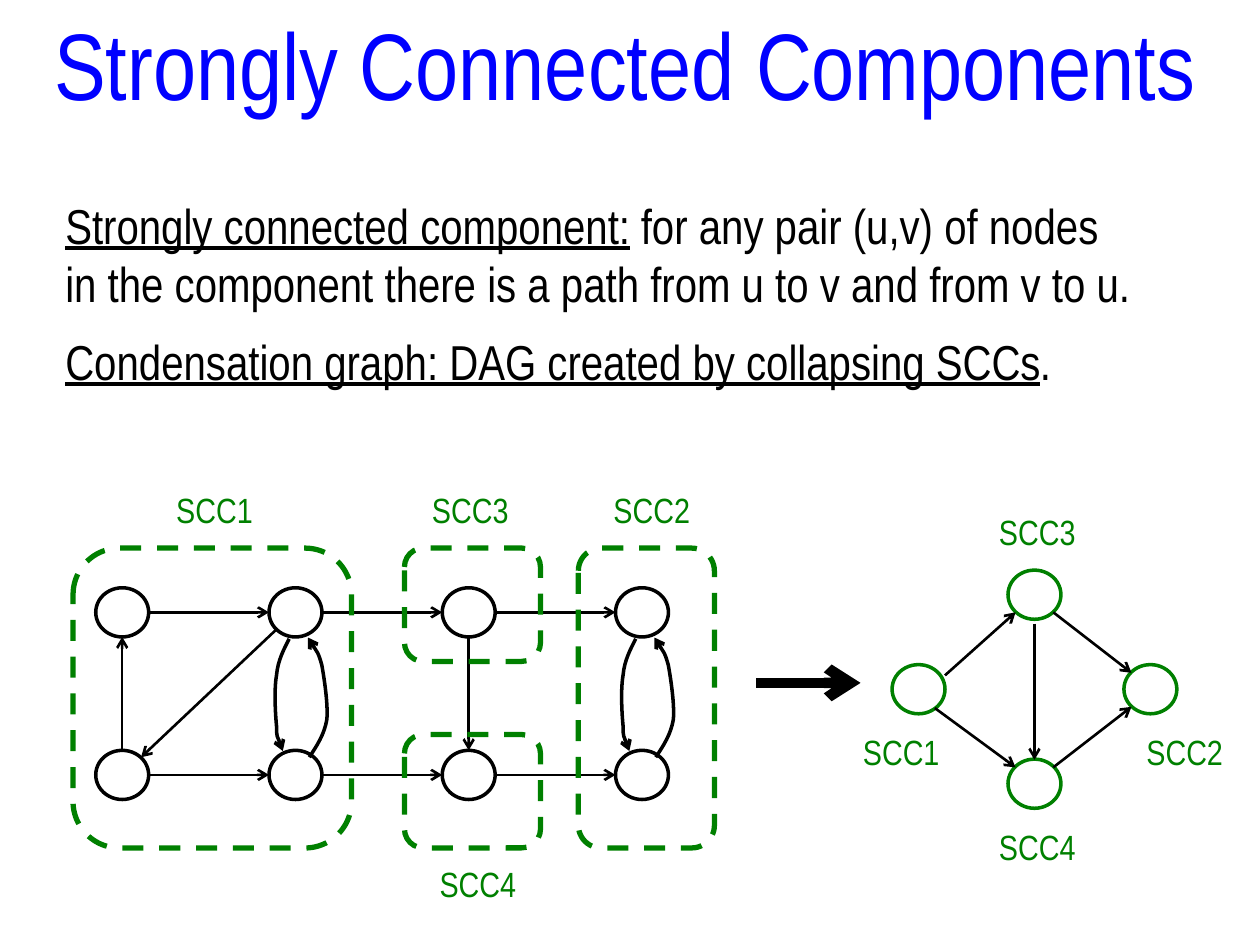
from dataclasses import dataclass

from lxml.etree import SubElement
from pptx import Presentation
from pptx.dml.color import RGBColor
from pptx.enum.dml import MSO_LINE
from pptx.enum.shapes import MSO_CONNECTOR, MSO_SHAPE
from pptx.enum.text import MSO_ANCHOR, MSO_AUTO_SIZE, PP_ALIGN
from pptx.oxml.ns import qn
from pptx.util import Inches, Pt


@dataclass(frozen=True)
class Theme:
    font: str = "Arial Narrow"
    title_color: RGBColor = RGBColor(0, 0, 255)
    ink: RGBColor = RGBColor(0, 0, 0)
    component: RGBColor = RGBColor(0, 128, 0)
    title_size: int = 54
    body_size: int = 28
    label_size: int = 20
    node_line: float = 2
    edge_line: float = 1.5
    frame_line: float = 3
    step_line: float = 6


THEME = Theme()
NODE_WIDTH, NODE_HEIGHT = 0.42, 0.39
COLUMNS = [0.97 + 1.375 * column for column in range(4)]
TOP_ROW, BOTTOM_ROW = 4.86, 6.15


def style_run(run, size, color, underline=None):
    run.font.name = THEME.font
    run.font.size = Pt(size)
    run.font.color.rgb = color
    run.font.underline = underline


def add_title(slide, text):
    title = slide.shapes.title
    title.left, title.top = Inches(0.25), Inches(0)
    title.width, title.height = Inches(9.42), Inches(1.01)
    frame = title.text_frame
    frame.text = text
    frame.auto_size = MSO_AUTO_SIZE.NONE
    frame.vertical_anchor = MSO_ANCHOR.TOP
    frame.paragraphs[0].alignment = PP_ALIGN.CENTER
    style_run(frame.paragraphs[0].runs[0], THEME.title_size, THEME.title_color)


def add_text(slide, left, top, width, height, lines, size, color):
    """Each line is a list of (text, underlined) spans."""
    box = slide.shapes.add_textbox(Inches(left), Inches(top), Inches(width), Inches(height))
    frame = box.text_frame
    frame.word_wrap = False
    for index, spans in enumerate(lines):
        para = frame.paragraphs[0] if index == 0 else frame.add_paragraph()
        for text, underlined in spans:
            span = para.add_run()
            span.text = text
            style_run(span, size, color, underlined or None)


def add_label(slide, text, left, top):
    add_text(slide, left, top, 0.82, 0.44, [[(text, False)]], THEME.label_size, THEME.component)


def add_outline(slide, kind, left, top, width, height, color, weight):
    shape = slide.shapes.add_shape(kind, Inches(left), Inches(top), Inches(width), Inches(height))
    shape.shadow.inherit = False
    shape.fill.background()
    shape.line.color.rgb = color
    shape.line.width = Pt(weight)
    return shape


def add_node(slide, x, y, color):
    add_outline(slide, MSO_SHAPE.OVAL, x - NODE_WIDTH / 2, y - NODE_HEIGHT / 2,
                NODE_WIDTH, NODE_HEIGHT, color, THEME.node_line)


def add_frame(slide, left, top, width, height):
    frame = add_outline(slide, MSO_SHAPE.ROUNDED_RECTANGLE, left, top, width, height,
                        THEME.component, THEME.frame_line)
    frame.line.dash_style = MSO_LINE.DASH


def set_arrow_line(shape, weight):
    shape.line.color.rgb = THEME.ink
    shape.line.width = Pt(weight)
    SubElement(shape.line._get_or_add_ln(), qn("a:tailEnd"), type="arrow")


def add_arrow(slide, start, end, weight=THEME.edge_line):
    arrow = slide.shapes.add_connector(
        MSO_CONNECTOR.STRAIGHT, *[Inches(value) for value in (*start, *end)])
    set_arrow_line(arrow, weight)
    SubElement(arrow._element.spPr, qn("a:effectLst"))


def add_curved_arrow(slide, points):
    """Draw a start point followed by triples of Bézier points."""
    spots = [(Inches(x), Inches(y)) for x, y in points]
    builder = slide.shapes.build_freeform(*spots[0])
    builder.add_line_segments(spots[1:], close=False)
    curve = builder.convert_to_shape()
    curve.shadow.inherit = False
    curve.fill.background()
    set_arrow_line(curve, THEME.node_line)
    path = next(curve._element.iter(qn("a:path")))
    segments = path.findall(qn("a:lnTo"))
    for first in range(0, len(segments), 3):
        bezier = SubElement(path, qn("a:cubicBezTo"))
        for segment in segments[first:first + 3]:
            bezier.append(segment[0])
            path.remove(segment)


def add_cycle(slide, x):
    """Add the pair of bowed edges between the two nodes of a column."""
    upward = [(0.11, 6.01), (0.17, 5.92), (0.23, 5.83), (0.25, 5.71),
              (0.26, 5.59), (0.23, 5.39), (0.21, 5.28),
              (0.18, 5.17), (0.1, 5.06), (0.1, 5.06)]
    downward = [(-0.05, 5.07), (-0.09, 5.15), (-0.14, 5.24), (-0.15, 5.36),
                (-0.17, 5.47), (-0.16, 5.66), (-0.15, 5.76),
                (-0.15, 5.86), (-0.1, 5.96), (-0.1, 5.96)]
    for points in (upward, downward):
        add_curved_arrow(slide, [(x + offset, y) for offset, y in points])


def add_graph(slide):
    half_width, half_height = NODE_WIDTH / 2, NODE_HEIGHT / 2
    for y in (TOP_ROW, BOTTOM_ROW):
        for x in COLUMNS:
            add_node(slide, x, y, THEME.ink)
        for x, following in zip(COLUMNS, COLUMNS[1:]):
            add_arrow(slide, (x + half_width, y), (following - half_width, y))
    upper, lower = TOP_ROW + half_height, BOTTOM_ROW - half_height
    add_arrow(slide, (COLUMNS[0], lower), (COLUMNS[0], upper))
    add_arrow(slide, (COLUMNS[2], upper), (COLUMNS[2], lower))
    add_arrow(slide, (2.2, 4.99), (1.12, 6.01))
    for x in (COLUMNS[1], COLUMNS[3]):
        add_cycle(slide, x)
    for frame in ((0.58, 4.35, 2.21, 2.38), (4.59, 4.35, 1.08, 2.38),
                  (3.21, 4.35, 1.08, 0.9), (3.21, 5.83, 1.08, 0.9)):
        add_frame(slide, *frame)
    for text, left, top in (("SCC1", 1.3, 3.83), ("SCC2", 4.77, 3.83),
                            ("SCC3", 3.33, 3.83), ("SCC4", 3.39, 6.8)):
        add_label(slide, text, left, top)


def add_condensation(slide):
    center_x, center_y = 8.21, 5.47
    for across, down in ((-0.92, 0), (0, -0.75), (0, 0.75), (0.92, 0)):
        add_node(slide, center_x + across, center_y + down, THEME.component)
    for start, end in (((8.36, 4.86), (8.98, 5.34)), ((8.36, 6.09), (8.98, 5.61)),
                       ((7.5, 5.36), (8.06, 4.86)), ((7.42, 5.62), (8.06, 6.09)),
                       ((center_x, 4.95), (center_x, 6.03))):
        add_arrow(slide, start, end)
    for text, left, top in (("SCC1", 6.75, 5.75), ("SCC4", 7.83, 6.5),
                            ("SCC3", 7.83, 4), ("SCC2", 9, 5.75)):
        add_label(slide, text, left, top)


def main():
    deck = Presentation()
    deck.slide_width, deck.slide_height = Inches(10), Inches(7.5)
    slide = deck.slides.add_slide(deck.slide_layouts[5])
    add_title(slide, "Strongly Connected Components")
    add_text(slide, 0.42, 1.5, 8.74, 1.04, [
        [("Strongly connected component:", True), (" for any pair (u,v) of nodes", False)],
        [("in the component there is a path from u to v and from v to u.", False)],
    ], THEME.body_size, THEME.ink)
    add_text(slide, 0.42, 2.58, 8.11, 0.57, [
        [("Condensation graph: DAG created by collapsing SCCs", True), (".", False)],
    ], THEME.body_size, THEME.ink)
    add_graph(slide)
    add_arrow(slide, (6, 5.42), (6.83, 5.42), THEME.step_line)
    add_condensation(slide)
    deck.save("out.pptx")


if __name__ == "__main__":
    main()
